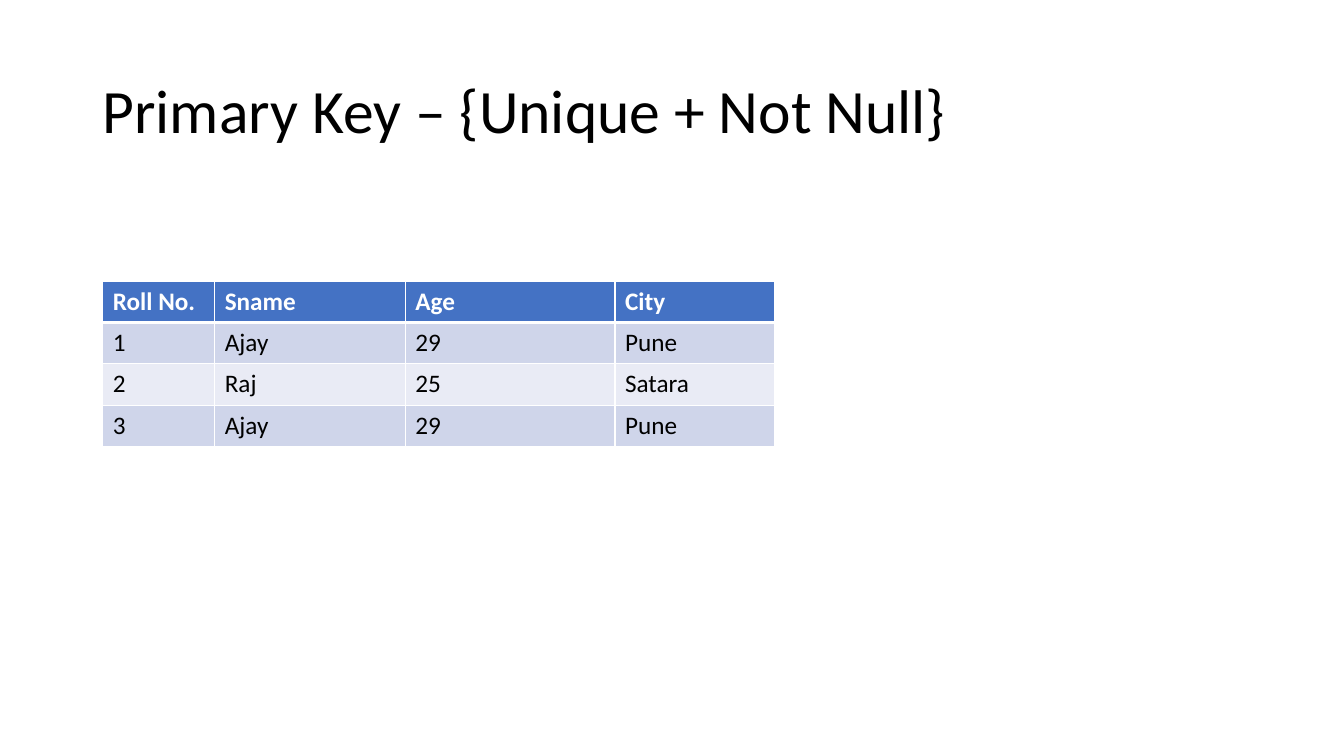
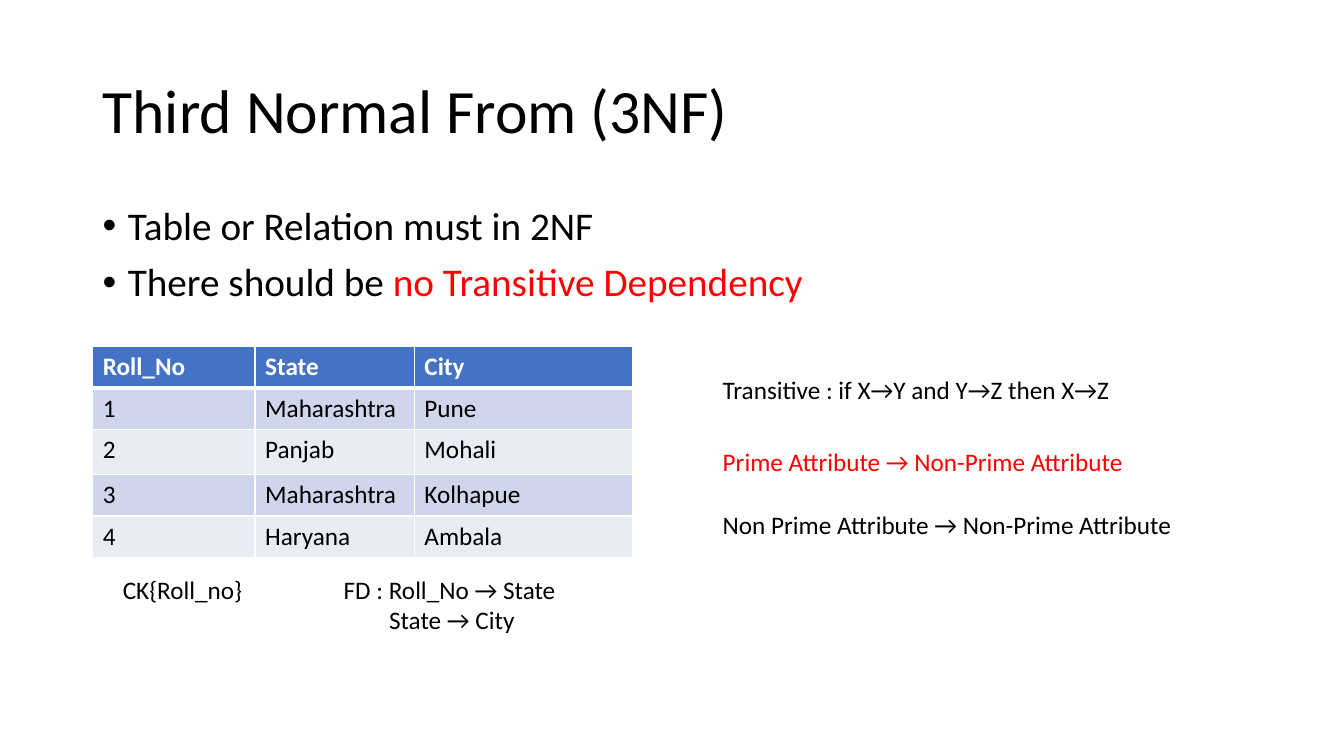
"""Build two database slides: primary key and third normal form."""
from lxml.etree import SubElement
from pptx import Presentation
from pptx.dml.color import RGBColor
from pptx.enum.text import MSO_ANCHOR
from pptx.oxml.ns import qn
from pptx.util import Inches, Pt

FONT = "Calibri"
COLORS = {
    "text": "000000",
    "accent": "FF0000",
    "white": "FFFFFF",
    "header": "4472C4",
    "odd": "CFD5EA",
    "even": "E9EBF5",
}
TITLE_BOX = (0.92, 0.4, 11.5, 1.45)
BODY_BOX = (0.92, 2, 11.5, 4.76)
ROW_HEIGHT = 0.41

SLIDES = [
    {
        "title": "Primary Key – {Unique + Not Null}",
        "table": {
            "position": (1.02, 2.79),
            "columns": [1.11, 1.89, 2.08, 1.58],
            "tall_rows": {},
            "rows": [
                ("Roll No.", "Sname", "Age", "City"),
                ("1", "Ajay", "29", "Pune"),
                ("2", "Raj", "25", "Satara"),
                ("3", "Ajay", "29", "Pune"),
            ],
        },
    },
    {
        "title": "Third Normal From (3NF)",
        "bullets": [
            [("Table or Relation must in 2NF", "text")],
            [("There should be ", "text"), ("no Transitive Dependency", "accent")],
        ],
        "table": {
            "position": (0.92, 3.44),
            "columns": [1.61, 1.58, 2.16],
            "tall_rows": {2: 0.45},
            "rows": [
                ("Roll_No", "State", "City"),
                ("1", "Maharashtra", "Pune"),
                ("2", "Panjab", "Mohali"),
                ("3", "Maharashtra", "Kolhapue"),
                ("4", "Haryana", "Ambala"),
            ],
        },
        "notes": [
            {"box": (7.07, 3.51, 6, 0.51), "lines": ["Transitive : if X→Y and Y→Z then X→Z"],
             "spacing": 1.5},
            {"box": (7.07, 4.38, 4.24, 0.4), "lines": ["Prime Attribute → Non-Prime Attribute"],
             "color": "accent"},
            {"box": (7.07, 5, 4.73, 0.4), "lines": ["Non Prime Attribute → Non-Prime Attribute"]},
            {"box": (1.12, 5.65, 1.46, 0.4), "lines": ["CK{Roll_no}"]},
            {"box": (3.31, 5.65, 2.35, 0.71), "lines": ["FD : Roll_No → State", "State → City"],
             "indent": 0.45},
        ],
    },
]


def color(name):
    return RGBColor.from_string(COLORS[name])


def format_runs(paragraph, size, color_name="text", bold=False):
    for run in paragraph.runs:
        run.font.name = FONT
        run.font.size = Pt(size)
        run.font.bold = bold
        run.font.color.rgb = color(color_name)


def add_text_frame(slide, box, wrap=True):
    text_frame = slide.shapes.add_textbox(*map(Inches, box)).text_frame
    text_frame.word_wrap = wrap
    return text_frame


def add_title(slide, title):
    text_frame = add_text_frame(slide, TITLE_BOX)
    text_frame.vertical_anchor = MSO_ANCHOR.MIDDLE
    text_frame.text = title
    paragraph = text_frame.paragraphs[0]
    paragraph.line_spacing = 0.9
    format_runs(paragraph, 44)


def set_indent(paragraph, left, first=0):
    properties = paragraph._p.get_or_add_pPr()
    properties.set("marL", str(Inches(left)))
    properties.set("indent", str(Inches(first)))
    return properties


def add_bullets(slide, bullets):
    text_frame = add_text_frame(slide, BODY_BOX)
    for index, parts in enumerate(bullets):
        paragraph = text_frame.add_paragraph() if index else text_frame.paragraphs[0]
        paragraph.line_spacing = 0.9
        paragraph.space_before = Pt(10)
        properties = set_indent(paragraph, 0.25, -0.25)
        SubElement(properties, qn("a:buFont"), typeface="Arial")
        SubElement(properties, qn("a:buChar"), char="•")
        for text, _ in parts:
            paragraph.add_run().text = text
        format_runs(paragraph, 28)
        for run, (_, color_name) in zip(paragraph.runs, parts):
            run.font.color.rgb = color(color_name)


def set_borders(cell, row_index):
    properties = cell._tc.get_or_add_tcPr()
    widths = {"L": 1, "R": 1, "T": 3 if row_index == 1 else 1, "B": 3 if row_index == 0 else 1}
    for side, width in widths.items():
        line = SubElement(properties, qn(f"a:ln{side}"), w=str(Pt(width)))
        fill = SubElement(line, qn("a:solidFill"))
        SubElement(fill, qn("a:srgbClr"), val=COLORS["white"])


def add_data_table(slide, position, columns, tall_rows, rows):
    heights = [tall_rows.get(index, ROW_HEIGHT) for index in range(len(rows))]
    size = (sum(columns), sum(heights))
    frame = slide.shapes.add_table(len(rows), len(columns), *map(Inches, position + size))
    table = frame.table
    for column, width in zip(table.columns, columns):
        column.width = Inches(width)
    for row_index, values in enumerate(rows):
        table.rows[row_index].height = Inches(heights[row_index])
        is_header = row_index == 0
        fill_name = "header" if is_header else ("even", "odd")[row_index % 2]
        for column_index, value in enumerate(values):
            cell = table.cell(row_index, column_index)
            cell.text = value
            set_borders(cell, row_index)
            cell.fill.solid()
            cell.fill.fore_color.rgb = color(fill_name)
            format_runs(cell.text_frame.paragraphs[0], 18,
                        "white" if is_header else "text", is_header)


def add_note(slide, box, lines, color="text", spacing=1.0, indent=0):
    text_frame = add_text_frame(slide, box, wrap=False)
    text_frame.text = "\n".join(lines)
    for index, paragraph in enumerate(text_frame.paragraphs):
        paragraph.line_spacing = spacing
        if index:
            set_indent(paragraph, indent)
        format_runs(paragraph, 18, color)


def main():
    presentation = Presentation()
    presentation.slide_width = Inches(13.33)
    presentation.slide_height = Inches(7.5)
    for content in SLIDES:
        slide = presentation.slides.add_slide(presentation.slide_layouts[6])
        add_title(slide, content["title"])
        if "bullets" in content:
            add_bullets(slide, content["bullets"])
        add_data_table(slide, **content["table"])
        for note in content.get("notes", []):
            add_note(slide, **note)
    presentation.save("out.pptx")


if __name__ == "__main__":
    main()
